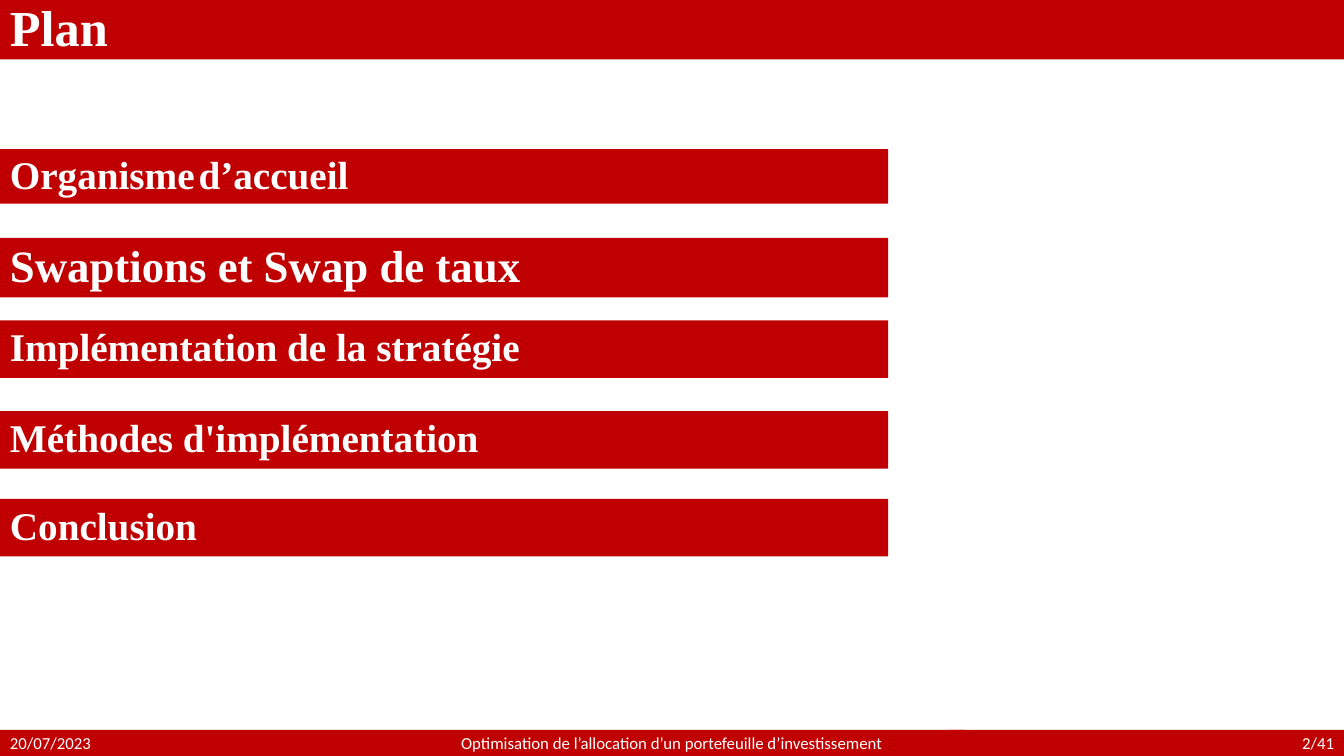
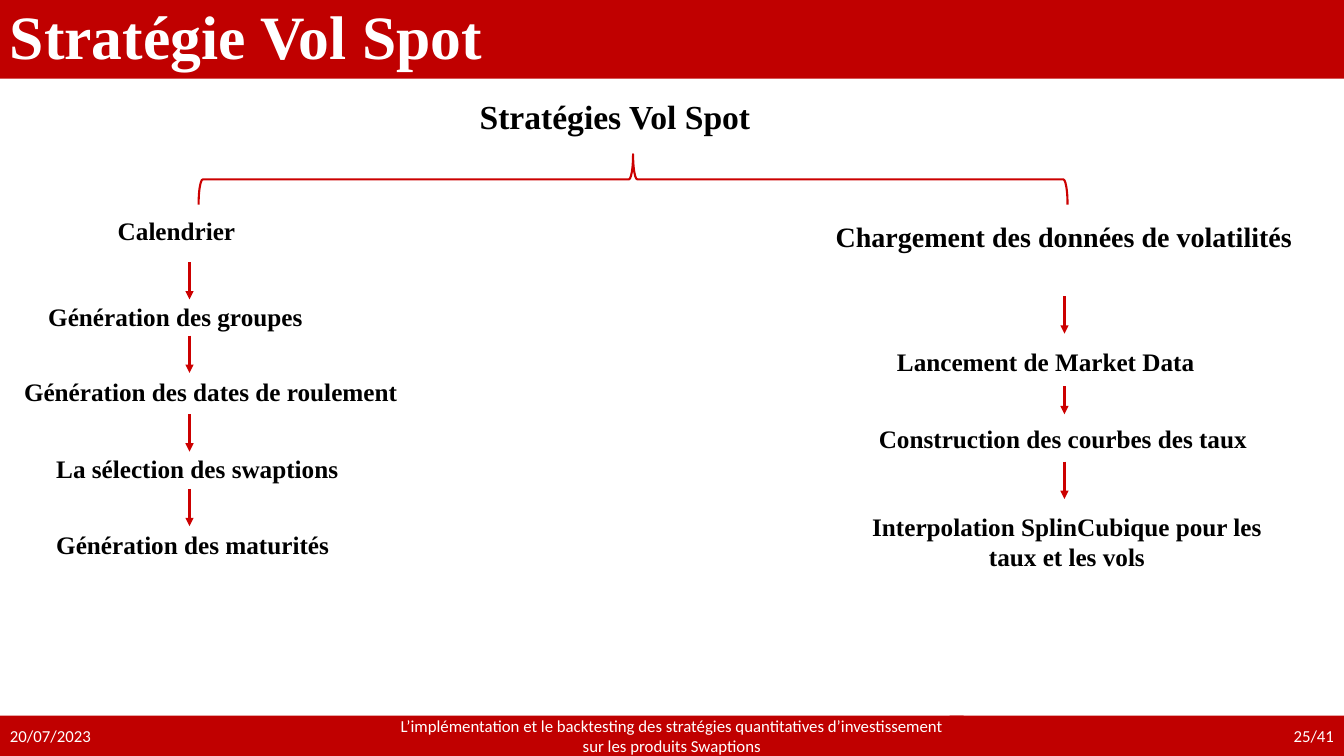
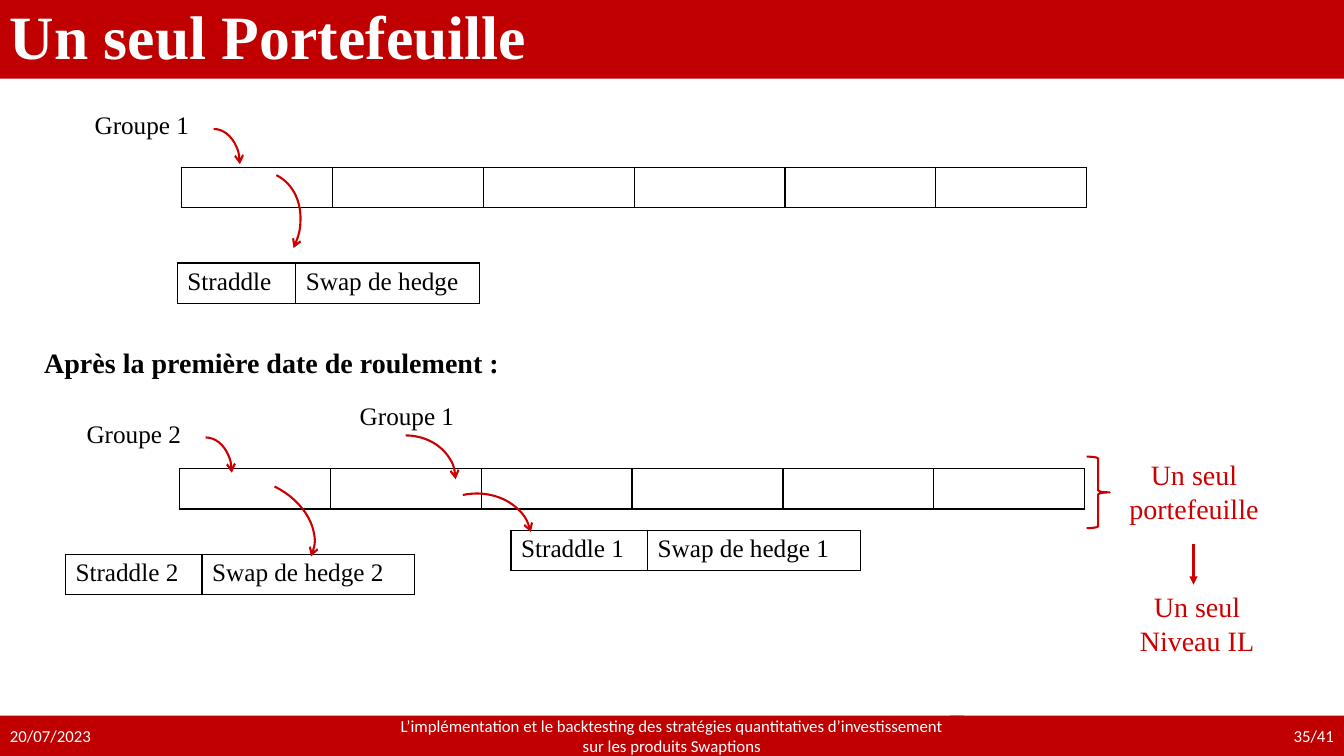
from pptx import Presentation
from pptx import util as u
from pptx.dml.color import RGBColor
from pptx.enum import shapes, text
from pptx.oxml import parse_xml
from pptx.oxml.ns import nsdecls, qn

HUE = {"band": "C00000", "ink": "CC0000", "text": "000000", "pale": "FFFFFF"}
SERIF, SANS = "Times New Roman", "Calibri"
KIND, ALIGN = shapes.MSO_SHAPE, text.PP_ALIGN
LEFT, MID, RIGHT = ALIGN.LEFT, ALIGN.CENTER, ALIGN.RIGHT

# The grid: square cells, ten to the inch.
CELL = u.Inches(0.1)
COLS, ROWS = 133.33, 75

deck = Presentation()
deck.slide_width, deck.slide_height = int(COLS * CELL), int(ROWS * CELL)


def put(page, at, words, size, hue="text", bold=False, align=LEFT,
        font=SERIF, band=False):
    """Place text at a grid box, on a red band or on nothing."""
    at = [int(n * CELL) for n in at]
    if band:
        box = page.shapes.add_shape(KIND.RECTANGLE, *at)
        box.shadow.inherit = False
        box.fill.solid()
        box.fill.fore_color.rgb = RGBColor.from_string(HUE["band"])
        box.line.fill.background()
    else:
        box = page.shapes.add_textbox(*at)
    frame = box.text_frame
    frame.word_wrap = True
    if band:
        frame.vertical_anchor = text.MSO_ANCHOR.MIDDLE
    par = frame.paragraphs[0]
    par.text, par.alignment = words, align
    if band and font == SERIF:
        par.line_spacing = 0.9
    par.font.name, par.font.size, par.font.bold = font, u.Pt(size), bold
    par.font.color.rgb = RGBColor.from_string(HUE[hue])
    return par


def draw(page, kind, at, tip=None, turn=0):
    """Draw a red outline; without a kind, a downward arrow (x, y, length)."""
    if kind is None:
        x, y, drop = at
        ends = [int(n * CELL) for n in (x, y, x, y + drop)]
        form = page.shapes.add_connector(shapes.MSO_CONNECTOR.STRAIGHT, *ends)
    else:
        form = page.shapes.add_shape(kind, *[int(n * CELL) for n in at])
        form.fill.background()
        form.rotation = turn
    form.line.color.rgb = RGBColor.from_string(HUE["ink"])
    form.line.width = u.Pt(1.5)
    props = form.element.spPr
    if tip:
        props.find(qn("a:ln")).append(
            parse_xml(f'<a:tailEnd {nsdecls("a")} type="{tip}"/>'))
    props.append(parse_xml(f'<a:effectLst {nsdecls("a")}/>'))


# Title and footer bands
short = "Optimisation de l’allocation d’un portefeuille d’investissement"
long = ("L’implémentation et le backtesting des stratégies quantitatives "
        "d’investissement sur les produits Swaptions")
pages = []
for title, size, top, foot, topic, num in (
        ("Plan", 36, 5.9, 2.6, short, 2),
        ("Stratégie Vol Spot", 44, 7.8, 4, long, 25),
        ("Un seul Portefeuille", 44, 7.8, 4, long, 35)):
    page = deck.slides.add_slide(deck.slide_layouts[6])
    pages.append(page)
    put(page, (0, 0, COLS, top), title, size, "pale", True, band=True)
    for x, wide, words, align in ((0, 37.7, "20/07/2023", LEFT),
                                  (37.7, 57.9, topic, MID),
                                  (94.2, 39.13, f"{num}/41", RIGHT)):
        put(page, (x, ROWS - foot, wide, foot), words, 12, "pale",
            align=align, font=SANS, band=True)
plan, spot, folio = pages

# Plan: one band per chapter
for y, high, size, words in (
        (14.8, 5.4, 28, "Organisme"),
        (23.6, 5.9, 32, "Swaptions et Swap de taux"),
        (31.8, 5.7, 28, "Implémentation de la stratégie"),
        (40.8, 5.7, 28, "Méthodes d'implémentation"),
        (49.5, 5.7, 28, "Conclusion")):
    par = put(plan, (0, y, 88.1, high), words, size, "pale", True, band=True)
    if words == "Organisme":
        gap = par.add_run()
        gap.text = " "
        gap.font.name, gap.font.size, gap.font.bold = "Roboto", u.Pt(11), False
        par.add_run().text = "d’accueil"

# Vol Spot: a brace over two chains of steps
put(spot, (46.6, 9, 35.6, 5), "Stratégies Vol Spot", 24, bold=True)
draw(spot, KIND.LEFT_BRACE, (60.3, -25.3, 5, 86.2), turn=90)
for x, y, wide, high, size, align, words in (
        (10.7, 20.9, 21, 4, 18, LEFT, "Calendrier"),
        (3.8, 29.4, 39.5, 4, 18, LEFT, "Génération des groupes"),
        (1.4, 36.8, 61.4, 4, 18, LEFT, "Génération des dates de roulement"),
        (4.6, 44.5, 34, 4, 18, LEFT, "La sélection des swaptions"),
        (4.6, 52, 34, 4, 18, LEFT, "Génération des maturités"),
        (81, 21.3, 49.1, 7.7, 20, MID, "Chargement des données de volatilités"),
        (88, 33.9, 39.5, 4, 18, LEFT, "Lancement de Market Data"),
        (86.2, 41.5, 41.3, 4, 18, LEFT, "Construction des courbes des taux"),
        (84.2, 50.2, 43.3, 7.1, 18, MID,
         "Interpolation SplinCubique pour les taux et les vols")):
    put(spot, (x, y, wide, high), words, size, bold=True, align=align)
for x, y, drop in ((18.8, 26, 3.7), (18.8, 33.3, 3.7), (18.8, 41.1, 3.7),
                   (18.8, 48.5, 3.7), (105.6, 29.4, 3.7),
                   (105.6, 38.3, 2.8), (105.6, 45.8, 3.7)):
    draw(spot, None, (x, y, drop), "triangle")

# Portefeuille: bordered one-row tables
blank = [""] * 6
for x, y, wides, words in (
        (18, 16.6, [14.97] * 6, blank),
        (17.6, 26.1, (11.75, 18.25), ("Straddle", "Swap de hedge")),
        (17.8, 46.5, [14.97] * 6, blank),
        (50.7, 52.6, (13.55, 21.1), ("Straddle 1", "Swap de hedge 1")),
        (6.5, 55, (13.55, 21.1), ("Straddle 2", "Swap de hedge 2"))):
    size = [int(n * CELL) for n in (x, y, sum(wides), 4)]
    grid = folio.shapes.add_table(1, len(words), *size).table
    grid.first_row = grid.horz_banding = False
    for col, wide, cell, word in zip(grid.columns, wides,
                                     grid.rows[0].cells, words):
        col.width = int(wide * CELL)
        cell.fill.background()
        par = cell.text_frame.paragraphs[0]
        par.text = word
        par.font.name, par.font.size = SERIF, u.Pt(18)
        par.font.color.rgb = RGBColor.from_string(HUE["text"])
        props = cell._tc.get_or_add_tcPr()
        for rank, side in enumerate("LRTB"):
            props.insert(rank, parse_xml(
                f'<a:ln{side} {nsdecls("a")} w="12700"><a:solidFill>'
                f'<a:srgbClr val="{HUE["text"]}"/></a:solidFill></a:ln{side}>'))

# Portefeuille: curved arrows, labels and the closing brace
for at, turn in (((18.6, 12.8, 5.2, 7), 0), ((20.2, 16.8, 9.4, 11.5), 26),
                 ((35.3, 43.2, 9.9, 8.7), 0), ((41.1, 49, 11.7, 10), 348.2),
                 ((17.8, 43.4, 5.2, 7), 0), ((18.9, 47.8, 12.6, 9.3), 26)):
    draw(folio, KIND.ARC, at, "arrow", turn)
for x, y, word in ((8.4, 10.4, "Groupe 1"), (34.7, 39.2, "Groupe 1"),
                   (7.6, 41, "Groupe 2")):
    put(folio, (x, y, 14.8, 4), word, 18)
put(folio, (3.4, 33.8, 56.4, 4.4), "Après la première date de roulement :",
    20, bold=True)
draw(folio, KIND.RIGHT_BRACE, (107.8, 45.3, 2.3, 7.1))
for x, y, words in ((110.4, 44.9, "Un seul portefeuille"),
                    (110.7, 58, "Un seul Niveau IL")):
    put(folio, (x, y, 16.1, 7.7), words, 20, "ink", align=MID)
draw(folio, None, (118.4, 54, 4), "triangle")

deck.save("out.pptx")
